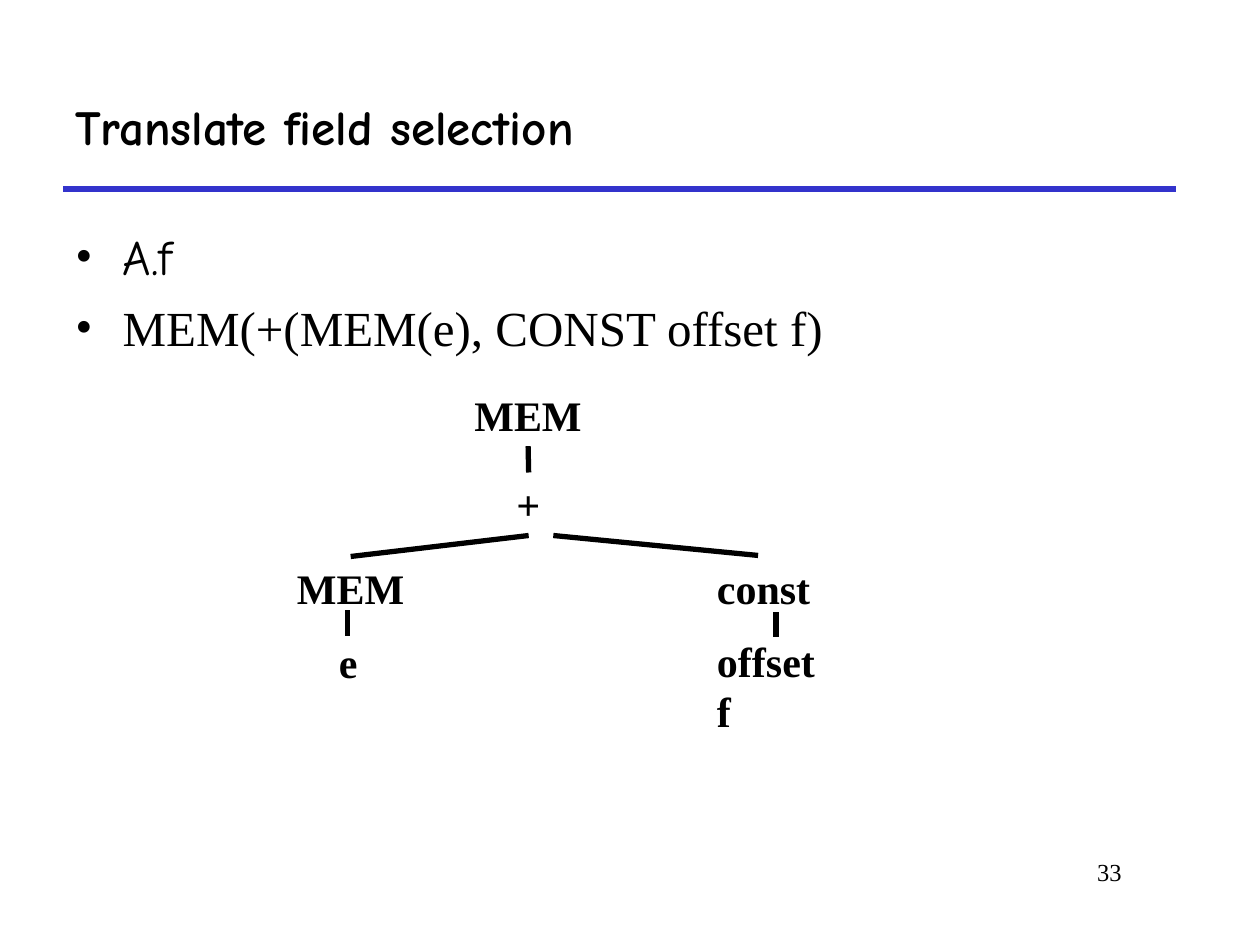
from dataclasses import dataclass

from lxml.etree import SubElement
from pptx import Presentation
from pptx.dml.color import RGBColor
from pptx.enum.shapes import MSO_CONNECTOR as Connector
from pptx.enum.text import MSO_ANCHOR as Anchor, PP_ALIGN as Align
from pptx.oxml.ns import qn
from pptx.shapes.autoshape import Shape
from pptx.shapes.connector import Connector as Line
from pptx.slide import Slide
from pptx.util import Inches, Length, Pt

COLORS = {"ink": "000000", "rule": "3333CC"}
SERIF, HAND = "Times New Roman", "Comic Neue"
CELLS_PER_INCH = 12
TOP, BOTTOM = 0, 2


@dataclass(frozen=True)
class Node:
    text: str
    column: float
    row: float
    columns: float


@dataclass(frozen=True)
class Segment:
    start: tuple[float, float]
    end: tuple[float, float]
    color: str = "ink"


NODES = {
    "root": Node("MEM", 44, 36.5, 12.6),
    "plus": Node("+", 48, 45, 4.7),
    "base": Node("MEM", 27.1, 53, 12.6),
    "variable": Node("e", 31.1, 60, 4.2),
    "constant": Node("const", 67.1, 53, 11.3),
    "offset": Node("offset f", 67.1, 59.9, 14),
}
JOINED = [("root", "plus"), ("plus", "base")]
SEGMENTS = [
    Segment((52.7, 51), (72.2, 52.9)),
    Segment((73.9, 58.3), (73.9, 60.7)),
    Segment((33.1, 58.1), (33.1, 60.6)),
]
BULLETS = [("A.f", HAND), ("MEM(+(MEM(e), CONST offset f)", SERIF)]


def cells(count: float) -> Length:
    return Inches(count / CELLS_PER_INCH)


def add_box(slide: Slide, column: float, row: float, columns: float, rows: float,
            wrap: bool = True) -> Shape:
    box = slide.shapes.add_textbox(*map(cells, (column, row, columns, rows)))
    box.text_frame.word_wrap = wrap
    return box


def add_run(paragraph, text: str, size: float, font: str = SERIF, bold: bool = False) -> None:
    run = paragraph.add_run()
    run.text = text
    run.font.size = Pt(size)
    run.font.name = font
    run.font.bold = bold
    run.font.color.rgb = RGBColor.from_string(COLORS["ink"])


def add_line(slide: Slide, segment: Segment) -> Line:
    points = map(cells, (*segment.start, *segment.end))
    line = slide.shapes.add_connector(Connector.STRAIGHT, *points)
    line.line.width = Pt(3)
    line.line.color.rgb = RGBColor.from_string(COLORS[segment.color])
    SubElement(line._element.spPr, qn("a:effectLst"))
    return line


def add_bullet(paragraph, text: str, font: str) -> None:
    paragraph.space_before = Pt(7)
    properties = paragraph._p.get_or_add_pPr()
    properties.set("marL", str(cells(4.5)))
    properties.set("indent", str(-cells(4.5)))
    SubElement(properties, qn("a:buFont"), typeface=SERIF)
    SubElement(properties, qn("a:buChar"), char="•")
    add_run(paragraph, text, 28, font)


def add_node(slide: Slide, node: Node) -> Shape:
    box = add_box(slide, node.column, node.row, node.columns, 6, wrap=False)
    add_run(box.text_frame.paragraphs[0], node.text, 24, bold=True)
    return box


def join(slide: Slide, parent: Shape, child: Shape) -> None:
    line = add_line(slide, Segment((0, 0), (1, 1)))
    line.begin_connect(parent, BOTTOM)
    line.end_connect(child, TOP)


def main() -> None:
    """Build the field selection slide and save it."""
    presentation = Presentation()
    presentation.slide_width, presentation.slide_height = cells(120), cells(90)
    slide = presentation.slides.add_slide(presentation.slide_layouts[6])
    add_line(slide, Segment((6, 18), (112, 18), "rule"))

    number = add_box(slide, 91, 81, 17, 6).text_frame.paragraphs[0]
    number.alignment = Align.RIGHT
    add_run(number, "33", 14)

    title = add_box(slide, 6, 6, 106, 12).text_frame
    title.vertical_anchor = Anchor.MIDDLE
    add_run(title.paragraphs[0], "Translate field selection", 28, HAND, True)

    body = add_box(slide, 6, 21, 106, 17).text_frame
    for index, (text, font) in enumerate(BULLETS):
        add_bullet(body.add_paragraph() if index else body.paragraphs[0], text, font)

    boxes = {name: add_node(slide, node) for name, node in NODES.items()}
    for parent, child in JOINED:
        join(slide, boxes[parent], boxes[child])
    for segment in SEGMENTS:
        add_line(slide, segment)
    presentation.save("out.pptx")


if __name__ == "__main__":
    main()
